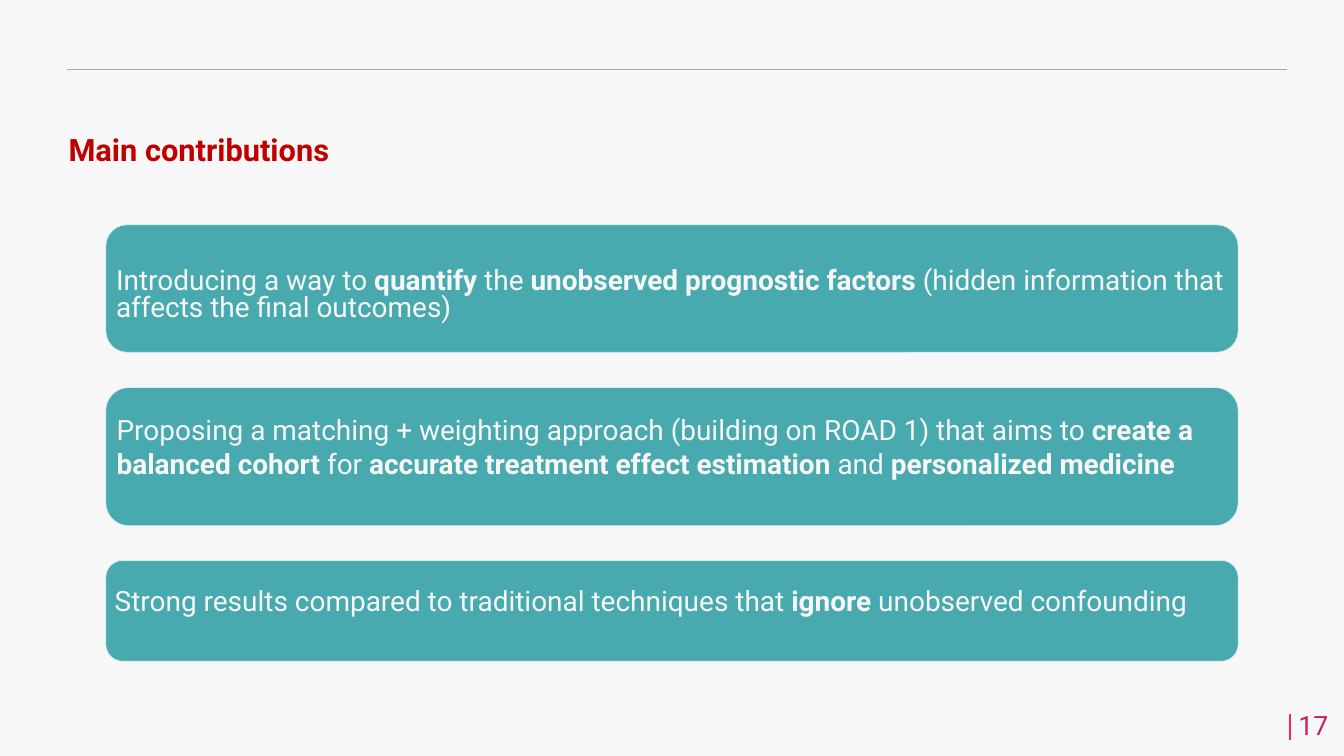
from dataclasses import dataclass

from lxml.etree import SubElement
from pptx import Presentation
from pptx.dml.color import RGBColor
from pptx.enum.shapes import MSO_CONNECTOR, MSO_SHAPE
from pptx.enum.text import MSO_ANCHOR, PP_ALIGN
from pptx.oxml.ns import qn
from pptx.util import Emu, Pt

EMU_PER_PX = 9144  # 100 px to the inch
FONT = "Roboto"
BACKGROUND = "F7F7F7"
TEAL = "48AAAF"
CARD_BORDER = "D6EDF8"
CARD_LEFT, CARD_WIDTH = 210, 2247
PADDING = 8


@dataclass
class Card:
    top: int
    height: int
    text_inset: int
    line_spacing: float
    runs: list[str]  # regular and bold pieces alternate, regular first


@dataclass
class Rule:
    start: tuple[int, int]
    end: tuple[int, int]
    color: str
    weight: int


CARDS = [
    Card(446, 253, 75, 0.8, [
        "Introducing a way to ", "quantify", " the ", "unobserved prognostic factors",
        " (hidden information that affects the final outcomes)",
    ]),
    Card(769, 274, 36, 1.0, [
        "Proposing a matching + weighting approach (building on ROAD 1) that aims to ",
        "create a balanced cohort ", "for ", "accurate treatment effect estimation ",
        "and ", "personalized medicine",
    ]),
    Card(1112, 200, 37, 1.0, [
        "Strong results compared to traditional techniques that ", "ignore",
        " unobserved confounding",
    ]),
]

RULES = [
    Rule((132, 137), (2554, 137), "A6AAA9", 1),
    Rule((2560, 1469), (2560, 1416), "ED2D59", 3),
]


def px(length: int) -> Emu:
    return Emu(length * EMU_PER_PX)


def rgb(color: str) -> RGBColor:
    return RGBColor.from_string(color)


def write_text(shape, runs: list[str], *, size: int, color: str, bold: bool = False,
               align=PP_ALIGN.LEFT, anchor=MSO_ANCHOR.TOP,
               line_spacing: float = 1.0, top_inset: int = PADDING) -> None:
    """Write one paragraph; every second run is bold, or all of them if bold is set."""
    frame = shape.text_frame
    frame.word_wrap = True
    frame.vertical_anchor = anchor
    frame.margin_left = frame.margin_right = frame.margin_bottom = px(PADDING)
    frame.margin_top = px(top_inset)
    paragraph = frame.paragraphs[0]
    paragraph.alignment = align
    paragraph.line_spacing = line_spacing
    for index, text in enumerate(runs):
        run = paragraph.add_run()
        run.text = text
        run.font.name = FONT
        run.font.size = Pt(size)
        run.font.bold = bold or index % 2 == 1
        run.font.color.rgb = rgb(color)


def draw_card(slide, card: Card) -> None:
    shape = slide.shapes.add_shape(
        MSO_SHAPE.ROUNDED_RECTANGLE,
        px(CARD_LEFT), px(card.top), px(CARD_WIDTH), px(card.height))
    shape.shadow.inherit = False
    shape.fill.solid()
    shape.fill.fore_color.rgb = rgb(TEAL)
    shape.line.color.rgb = rgb(CARD_BORDER)
    shape.line.width = Pt(1)
    write_text(shape, card.runs, size=40, color=BACKGROUND,
               line_spacing=card.line_spacing, top_inset=card.text_inset)


def draw_rule(slide, rule: Rule) -> None:
    connector = slide.shapes.add_connector(
        MSO_CONNECTOR.STRAIGHT, *map(px, rule.start + rule.end))
    connector.line.color.rgb = rgb(rule.color)
    connector.line.width = Pt(rule.weight)
    SubElement(connector._element.spPr, qn("a:effectLst"))


def main() -> None:
    presentation = Presentation()
    presentation.slide_width = px(2667)
    presentation.slide_height = px(1500)
    slide = presentation.slides.add_slide(presentation.slide_layouts[6])
    slide.background.fill.solid()
    slide.background.fill.fore_color.rgb = rgb(BACKGROUND)

    for rule in RULES:
        draw_rule(slide, rule)

    title = slide.shapes.add_textbox(px(128), px(232), px(1875), px(111))
    write_text(title, ["Main contributions"], size=44, color="C00000", bold=True,
               top_inset=27)

    for card in CARDS:
        draw_card(slide, card)

    page_number = slide.shapes.add_textbox(px(2554), px(1410), px(90), px(67))
    write_text(page_number, ["17"], size=38, color="C52060", align=PP_ALIGN.RIGHT,
               anchor=MSO_ANCHOR.MIDDLE, line_spacing=0.8)

    presentation.save("out.pptx")


if __name__ == "__main__":
    main()
